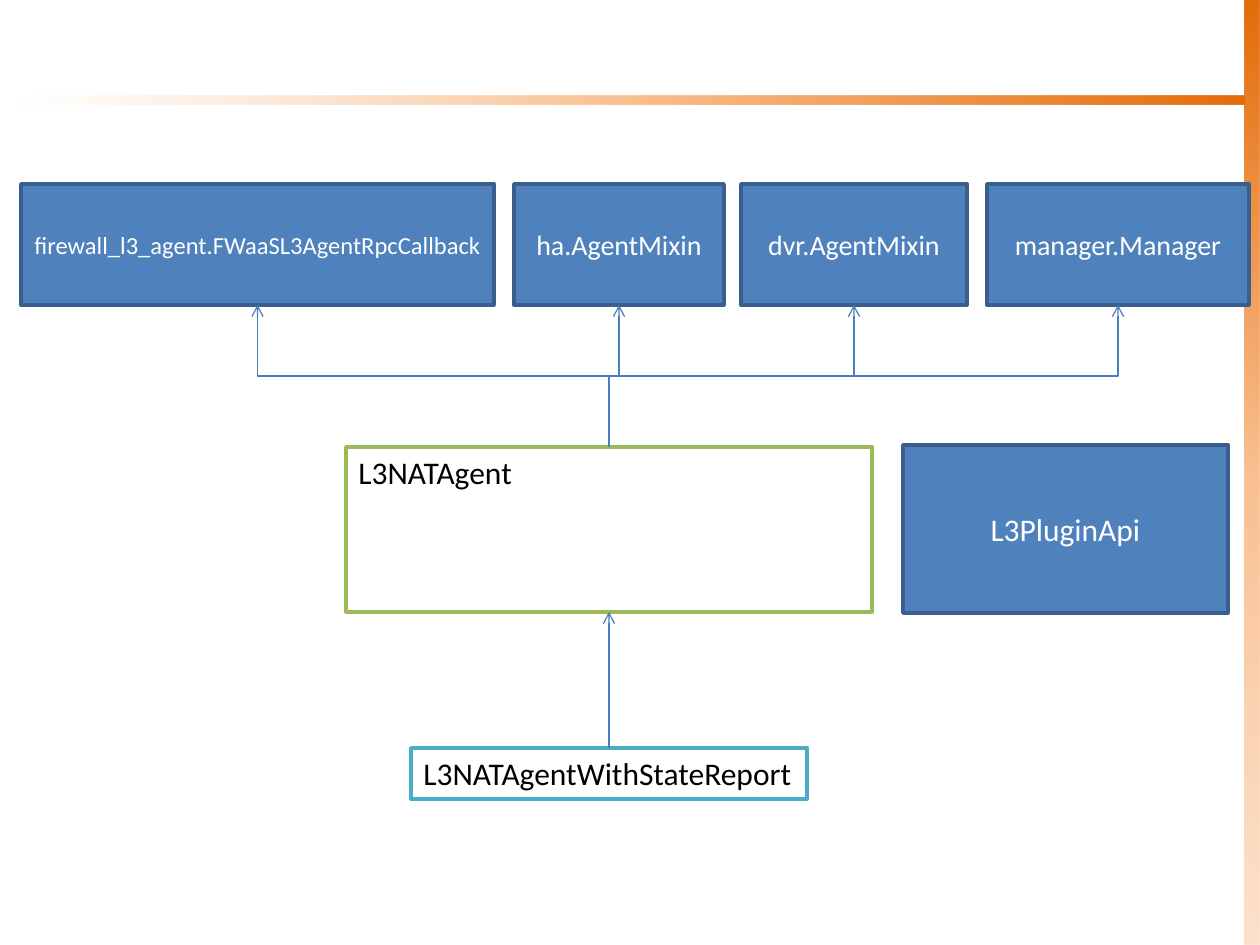
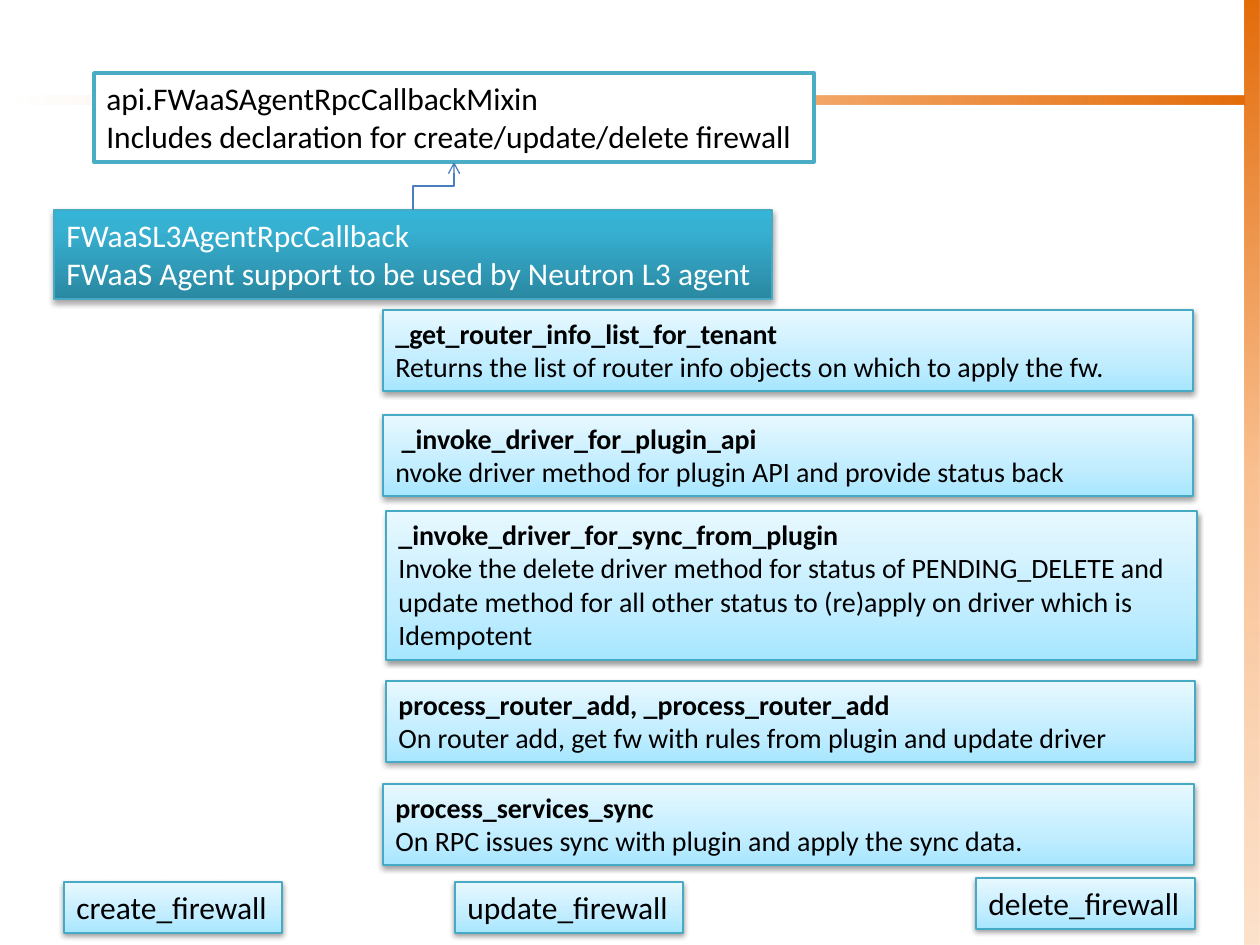
"""Builds two class diagrams of the L3 agent and its firewall callbacks."""
from dataclasses import dataclass

from lxml import etree
from pptx import Presentation
from pptx.dml.color import RGBColor
from pptx.enum.shapes import MSO_CONNECTOR, MSO_SHAPE
from pptx.enum.text import MSO_ANCHOR, MSO_AUTO_SIZE, PP_ALIGN
from pptx.oxml.ns import qn
from pptx.util import Pt

RECTANGLE = MSO_SHAPE.RECTANGLE
STRAIGHT, ELBOW = MSO_CONNECTOR.STRAIGHT, MSO_CONNECTOR.ELBOW
TOP, MIDDLE = MSO_ANCHOR.TOP, MSO_ANCHOR.MIDDLE
LEFT, CENTER = PP_ALIGN.LEFT, PP_ALIGN.CENTER
GROW, FIXED = MSO_AUTO_SIZE.SHAPE_TO_FIT_TEXT, MSO_AUTO_SIZE.NONE
PX_PER_INCH = 126
SLIDE_WIDTH, SLIDE_HEIGHT = 1260, 945


@dataclass(frozen=True)
class BoxStyle:
    """Look of one family of boxes."""
    fill: object
    line: str
    line_width: float
    text: str
    shadow: tuple = ()
    align: object = LEFT
    anchor: object = TOP
    auto_size: object = GROW


@dataclass(frozen=True)
class Theme:
    """Colours, type sizes and box styles of the presentation."""
    font: str = "Calibri"
    body: int = 18
    detail: int = 16
    small: int = 14
    arrow: str = "4B7EBC"
    arrow_width: float = 0.75
    side_band: tuple = ((0, "E46C0A", 100), (50, "FAC090", 100), (100, "FCD5B5", 69))
    title_band: tuple = ((0, "FCD5B5", 0), (50, "FAC090", 100), (100, "E46C0A", 100))
    solid: BoxStyle = BoxStyle("4F81BD", "3A5F8C", 2, "FFFFFF",
                               align=CENTER, anchor=MIDDLE, auto_size=FIXED)
    green: BoxStyle = BoxStyle("FFFFFF", "9BBB59", 2, "000000")
    teal: BoxStyle = BoxStyle("FFFFFF", "4BACC6", 2, "000000")
    strong: BoxStyle = BoxStyle(
        ((0, "2A88A2", 100), (80, "37B1D2", 100), (100, "34B4D6", 100)),
        "46AAC5", 0.75, "FFFFFF", (35, 3.15, 1.81))
    pale: BoxStyle = BoxStyle(
        ((0, "A7E6FF", 100), (35, "C1EDFF", 100), (100, "E7F8FF", 100)),
        "46AAC5", 0.75, "000000", (38, 3.15, 1.57))


THEME = Theme()


def px(length):
    """Turn px into EMU."""
    return round(length * 914400 / PX_PER_INCH)


def apply(target, formats):
    """Set every format value on the target."""
    for attribute, value in formats.items():
        setattr(target, attribute, value)


def add_colour(parent, colour, alpha):
    """Append a colour with its opacity in percent."""
    srgb = etree.SubElement(parent, qn("a:srgbClr"), val=colour)
    if alpha < 100:
        etree.SubElement(srgb, qn("a:alpha"), val=str(alpha * 1000))


def fill_gradient(shape, stops, angle):
    """Fill a shape with stops at a counter-clockwise angle."""
    shape.fill.gradient()
    shape.fill.gradient_angle = angle
    stop_list = shape.element.spPr.find(".//" + qn("a:gsLst"))
    stop_list.clear()
    for position, colour, alpha in stops:
        stop = etree.SubElement(stop_list, qn("a:gs"), pos=str(position * 1000))
        add_colour(stop, colour, alpha)


def add_shadow(shape, alpha, blur, distance):
    """Cast a black shadow straight down."""
    effects = shape.element.spPr.find(qn("a:effectLst"))
    shadow = etree.SubElement(effects, qn("a:outerShdw"), blurRad=str(Pt(blur)),
                              dist=str(Pt(distance)), dir="5400000", rotWithShape="0")
    add_colour(shadow, "000000", alpha)


def add_rectangle(slide, bounds):
    """Add a rectangle without the default shadow."""
    rectangle = slide.shapes.add_shape(RECTANGLE, *map(px, bounds))
    rectangle.shadow.inherit = False
    return rectangle


def add_band(slide, bounds, stops, angle):
    """Add a decorative gradient band."""
    band = add_rectangle(slide, bounds)
    band.line.fill.background()
    fill_gradient(band, stops, angle)


def add_box(slide, bounds, lines, style, size=THEME.body, wrap=True, bold_first=False):
    """Add a styled box holding one paragraph per line."""
    box = add_rectangle(slide, bounds)
    if isinstance(style.fill, str):
        box.fill.solid()
        box.fill.fore_color.rgb = RGBColor.from_string(style.fill)
    else:
        fill_gradient(box, style.fill, 90)
    box.line.color.rgb = RGBColor.from_string(style.line)
    box.line.width = Pt(style.line_width)
    if style.shadow:
        add_shadow(box, *style.shadow)
    frame = box.text_frame
    apply(frame, {"word_wrap": wrap, "auto_size": style.auto_size,
                  "vertical_anchor": style.anchor})
    for index, line in enumerate(lines):
        paragraph = frame.paragraphs[0] if index == 0 else frame.add_paragraph()
        paragraph.alignment = style.align
        run = paragraph.add_run()
        run.text = line
        apply(run.font, {"name": THEME.font, "size": Pt(size),
                         "bold": bold_first and index == 0})
        run.font.color.rgb = RGBColor.from_string(style.text)


def top_of(bounds):
    """Return the middle of the upper edge."""
    left, top, width, _ = bounds
    return left + width / 2, top


def bottom_of(bounds):
    """Return the middle of the lower edge."""
    left, top, width, height = bounds
    return left + width / 2, top + height


def add_inheritance(slide, child, parent):
    """Draw an arrow from the child box up to the parent box."""
    (x1, y1), (x2, y2) = top_of(child), bottom_of(parent)
    if x1 == x2:
        arrow = slide.shapes.add_connector(STRAIGHT, *map(px, (x1, y1, x2, y2)))
    else:
        middle_x, middle_y = (x1 + x2) / 2, (y1 + y2) / 2
        rise, shift = (y1 - y2) / 2, (x2 - x1) / 2
        ends = (middle_x - rise, middle_y - shift, middle_x + rise, middle_y + shift)
        arrow = slide.shapes.add_connector(ELBOW, *map(px, ends))
        arrow.element.spPr.find(qn("a:xfrm")).set("rot", "16200000")
    arrow.line.color.rgb = RGBColor.from_string(THEME.arrow)
    arrow.line.width = Pt(THEME.arrow_width)
    properties = arrow.element.spPr
    etree.SubElement(properties.find(qn("a:ln")), qn("a:tailEnd"), type="arrow")
    etree.SubElement(properties, qn("a:effectLst"))


def add_diagram_slide(deck):
    """Add a blank slide with the shared bands."""
    slide = deck.slides.add_slide(deck.slide_layouts[6])
    add_band(slide, (1245, 0, 15, SLIDE_HEIGHT), THEME.side_band, 270)
    add_band(slide, (15, 96, 1230, 9), THEME.title_band, 0)
    return slide


def build_agent_classes(deck):
    """Show the classes that the L3 agent inherits from."""
    slide = add_diagram_slide(deck)
    agent = (346, 447, 526, 165)
    reporting_agent = (411, 748, 396, 51)
    add_box(slide, (903, 445, 325, 168), ["L3PluginApi"], THEME.solid)
    add_box(slide, agent, ["L3NATAgent"], THEME.green)
    add_box(slide, reporting_agent, ["L3NATAgentWithStateReport"], THEME.teal, wrap=False)
    add_inheritance(slide, reporting_agent, agent)
    base_classes = [
        (21, 473, "firewall_l3_agent.FWaaSL3AgentRpcCallback", THEME.small),
        (514, 210, "ha.AgentMixin", THEME.detail),
        (741, 226, "dvr.AgentMixin", THEME.detail),
        (987, 262, "manager.Manager", THEME.detail),
    ]
    for left, width, name, size in base_classes:
        base = (left, 184, width, 121)
        add_box(slide, base, [name], THEME.solid, size)
        add_inheritance(slide, agent, base)


def build_firewall_callbacks(deck):
    """Show the firewall callback class and its methods."""
    slide = add_diagram_slide(deck)
    callback = (54, 210, 718, 89)
    mixin = (94, 73, 720, 89)
    add_box(slide, callback,
            ["FWaaSL3AgentRpcCallback",
             "FWaaS Agent support to be used by Neutron L3 agent"],
            THEME.strong, wrap=False)
    methods = [
        ((383, 310, 810, 81), "_get_router_info_list_for_tenant",
         "Returns the list of router info objects on which to apply the fw."),
        ((383, 415, 810, 81), " _invoke_driver_for_plugin_api",
         "nvoke driver method for plugin API and provide status back"),
        ((386, 511, 811, 149), "_invoke_driver_for_sync_from_plugin",
         "Invoke the delete driver method for status of PENDING_DELETE and update "
         "method for all other status to (re)apply on driver which is Idempotent"),
        ((386, 681, 809, 81), "process_router_add, _process_router_add",
         "On router add, get fw with rules from plugin and update driver"),
        ((383, 784, 811, 81), "process_services_sync",
         "On RPC issues sync with plugin and apply the sync data."),
    ]
    for bounds, name, description in methods:
        add_box(slide, bounds, [name, description], THEME.pale, THEME.detail,
                bold_first=True)
    operations = [
        ((64, 882, 218, 51), "create_firewall"),
        ((455, 882, 228, 51), "update_firewall"),
        ((976, 878, 219, 51), "delete_firewall"),
    ]
    for bounds, name in operations:
        add_box(slide, bounds, [name], THEME.pale, wrap=False)
    add_box(slide, mixin,
            ["api.FWaaSAgentRpcCallbackMixin",
             "Includes declaration for create/update/delete firewall"],
            THEME.teal, wrap=False)
    add_inheritance(slide, callback, mixin)


def main():
    """Build and save the presentation."""
    deck = Presentation()
    apply(deck, {"slide_width": px(SLIDE_WIDTH), "slide_height": px(SLIDE_HEIGHT)})
    build_agent_classes(deck)
    build_firewall_callbacks(deck)
    deck.save("out.pptx")


if __name__ == "__main__":
    main()
